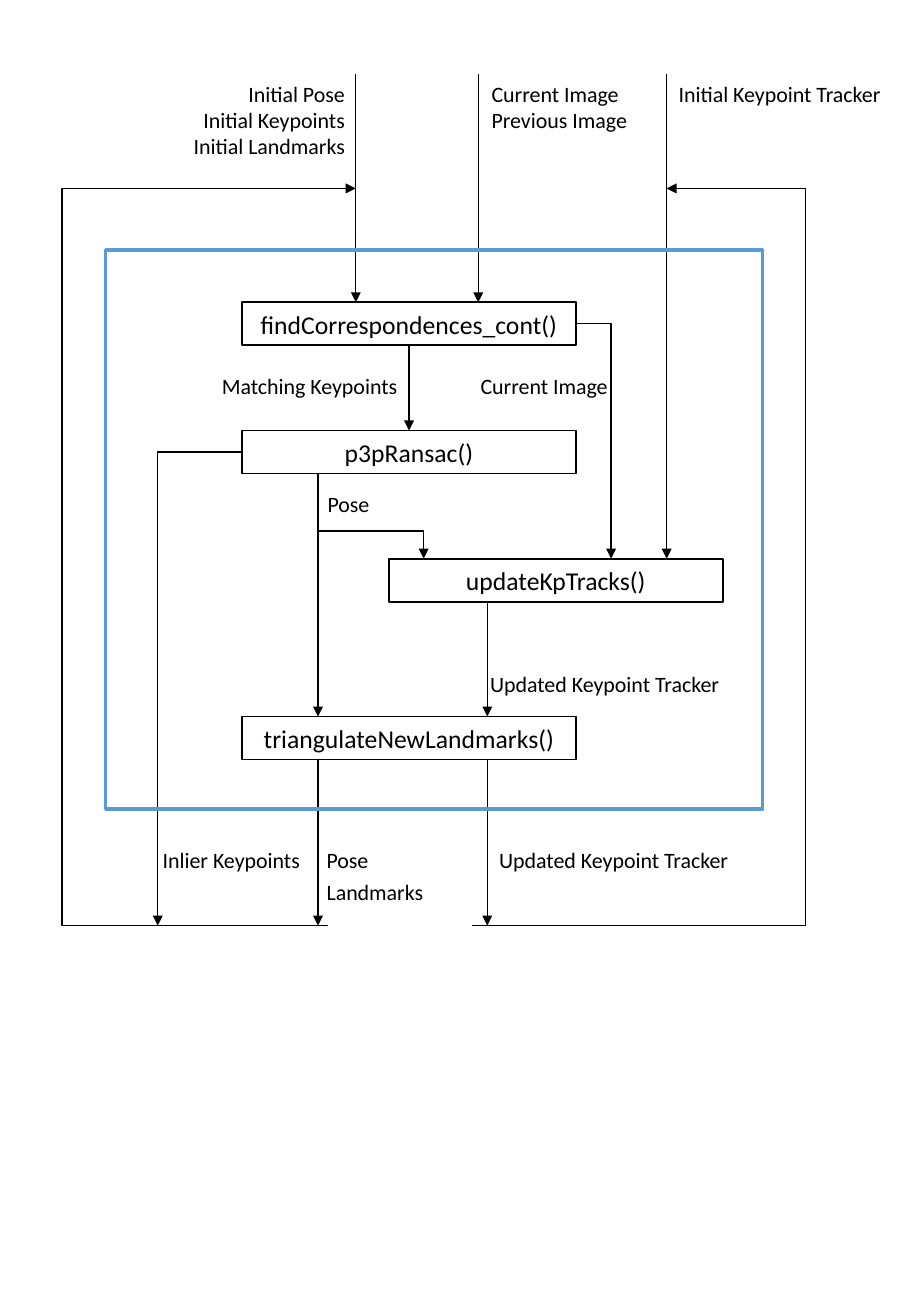
from lxml.etree import SubElement
from pptx import Presentation
from pptx.dml.color import RGBColor
from pptx.enum.shapes import MSO_CONNECTOR, MSO_SHAPE
from pptx.enum.text import MSO_ANCHOR, MSO_AUTO_SIZE, PP_ALIGN
from pptx.oxml.ns import qn
from pptx.util import Cm, Pt

COLORS = {"ink": "000000", "frame": "5B9BD5"}
FONT = "Calibri"
BOX_WIDTH, BOX_HEIGHT = 6.99, 0.9
TOP, FEEDBACK, BOTTOM = 1.55, 3.94, 19.35
STATE_X, IMAGE_X, TRACKER_X = 7.44, 10.0, 13.94
POSE_X, UPDATED_X = 6.65, 10.19
LEFT_X, RIGHT_X = 1.3, 16.84
FRAME = (2.21, 5.23, 13.74, 11.68)

STEPS = {
    "find": ("findCorrespondences_cont()", 5.06, 6.32),
    "ransac": ("p3pRansac()", 5.06, 9.0),
    "update": ("updateKpTracks()", 8.13, 11.68),
    "triangulate": ("triangulateNewLandmarks()", 5.06, 14.98),
}

LABELS = [
    (["Initial Pose", "Initial Keypoints", "Initial Landmarks"], 3.73, TOP, 3.73, PP_ALIGN.RIGHT, 0),
    (["Current Image", "Previous Image"], 10.03, TOP, 3.38, PP_ALIGN.LEFT, 0),
    (["Initial Keypoint Tracker"], 13.94, TOP, 4.8, PP_ALIGN.LEFT, 0),
    (["Matching Keypoints"], 4.39, 7.67, 4.24, PP_ALIGN.LEFT, 0),
    (["Current Image"], 9.8, 7.67, 3.2, PP_ALIGN.LEFT, 0),
    (["Pose"], 6.6, 10.13, 1.4, PP_ALIGN.LEFT, 0),
    (["Updated Keypoint Tracker"], 10.0, 13.89, 5.38, PP_ALIGN.LEFT, 0),
    (["Inlier Keypoints"], 3.15, 17.58, 3.43, PP_ALIGN.LEFT, 0),
    (["Pose", "Landmarks"], 6.58, 17.58, 2.57, PP_ALIGN.LEFT, 3),
    (["Updated Keypoint Tracker"], 10.19, 17.58, 5.38, PP_ALIGN.LEFT, 0),
]


def top(step):
    return STEPS[step][2]


def bottom(step):
    return top(step) + BOX_HEIGHT


def middle(step):
    return top(step) + BOX_HEIGHT / 2


STRAIGHT_ARROWS = [
    (STATE_X, TOP, top("find")),
    (IMAGE_X, TOP, top("find")),
    (TRACKER_X, TOP, top("update")),
    (POSE_X, bottom("ransac"), top("triangulate")),
    (UPDATED_X, bottom("update"), top("triangulate")),
    (POSE_X, bottom("triangulate"), BOTTOM),
    (UPDATED_X, bottom("triangulate"), BOTTOM),
]

ELBOWS = [
    (POSE_X, 11.1, 8.86, top("update"), "tailEnd"),
    (STEPS["find"][1] + BOX_WIDTH, middle("find"), 12.78, top("update"), "tailEnd"),
    (STEPS["ransac"][1], middle("ransac"), 3.3, BOTTOM, "tailEnd"),
    (STATE_X, FEEDBACK, LEFT_X, BOTTOM, "headEnd"),
    (TRACKER_X, FEEDBACK, RIGHT_X, BOTTOM, "headEnd"),
]

BASELINES = [(LEFT_X, 6.86), (9.88, RIGHT_X)]


def write_text(shape, lines, *, size, align, space_after=0):
    frame = shape.text_frame
    for index, line in enumerate(lines):
        paragraph = frame.paragraphs[0] if index == 0 else frame.add_paragraph()
        paragraph.alignment = align
        paragraph.space_after = Pt(space_after)
        run = paragraph.add_run()
        run.text = line
        run.font.size = Pt(size)
        run.font.name = FONT
        run.font.color.rgb = RGBColor.from_string(COLORS["ink"])


def add_box(slide, left, top_edge, width, height, color, weight):
    shape = slide.shapes.add_shape(
        MSO_SHAPE.RECTANGLE, Cm(left), Cm(top_edge), Cm(width), Cm(height))
    shape.shadow.inherit = False
    shape.fill.background()
    shape.line.color.rgb = RGBColor.from_string(COLORS[color])
    shape.line.width = Pt(weight)
    return shape


def add_line(slide, x1, y1, x2, y2, arrow=None, kind=MSO_CONNECTOR.STRAIGHT):
    connector = slide.shapes.add_connector(kind, Cm(x1), Cm(y1), Cm(x2), Cm(y2))
    connector.line.color.rgb = RGBColor.from_string(COLORS["ink"])
    connector.line.width = Pt(0.75)
    properties = connector._element.spPr
    if arrow:
        SubElement(properties.find(qn("a:ln")), qn(f"a:{arrow}"), type="triangle")
    SubElement(properties, qn("a:effectLst"))
    if kind == MSO_CONNECTOR.ELBOW:
        adjustments = properties.find(qn("a:prstGeom")).find(qn("a:avLst"))
        SubElement(adjustments, qn("a:gd"), name="adj1", fmla="val 100000")
    return connector


def main():
    presentation = Presentation()
    presentation.slide_width = Cm(19.05)
    presentation.slide_height = Cm(27.51)
    slide = presentation.slides.add_slide(presentation.slide_layouts[6])

    boxes = {}
    for step, (name, left, top_edge) in STEPS.items():
        box = add_box(slide, left, top_edge, BOX_WIDTH, BOX_HEIGHT, "ink", 1)
        frame = box.text_frame
        frame.word_wrap = True
        frame.vertical_anchor = MSO_ANCHOR.MIDDLE
        frame.margin_left = frame.margin_right = Cm(0.36)
        frame.margin_top = frame.margin_bottom = Cm(0.18)
        write_text(box, [name], size=15.2, align=PP_ALIGN.CENTER)
        boxes[step] = box

    for x, start, end in STRAIGHT_ARROWS:
        add_line(slide, x, start, x, end, "tailEnd")
    matching = add_line(slide, 8.55, bottom("find"), 8.55, top("ransac"), "tailEnd")
    matching.begin_connect(boxes["find"], 2)
    matching.end_connect(boxes["ransac"], 0)
    for x1, y1, x2, y2, arrow in ELBOWS:
        add_line(slide, x1, y1, x2, y2, arrow, MSO_CONNECTOR.ELBOW)
    for start, end in BASELINES:
        add_line(slide, start, BOTTOM, end, BOTTOM)

    for lines, left, top_edge, width, align, space_after in LABELS:
        height = 0.25 + 0.56 * len(lines)
        label = slide.shapes.add_textbox(Cm(left), Cm(top_edge), Cm(width), Cm(height))
        label.text_frame.word_wrap = False
        label.text_frame.auto_size = MSO_AUTO_SIZE.SHAPE_TO_FIT_TEXT
        write_text(label, lines, size=13, align=align, space_after=space_after)

    add_box(slide, *FRAME, "frame", 2)
    presentation.save("out.pptx")


if __name__ == "__main__":
    main()
